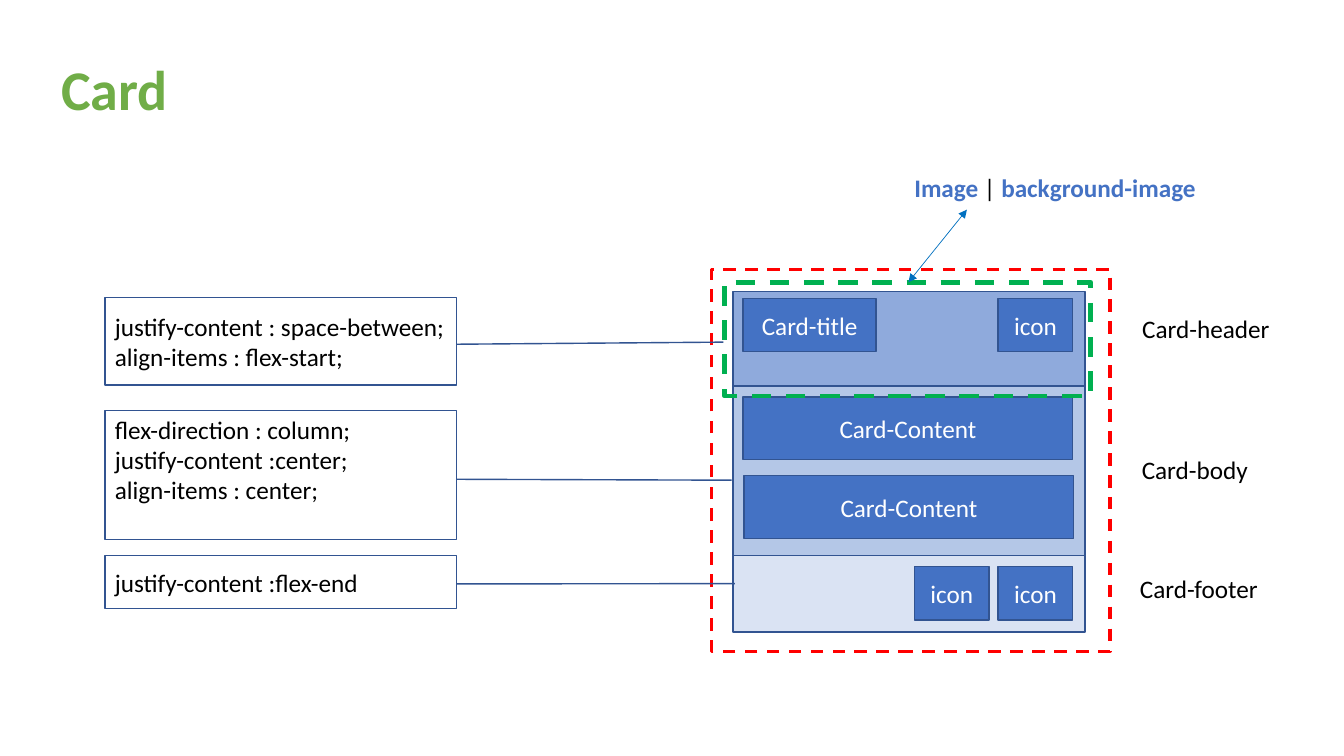
from lxml import etree
from pptx import Presentation
from pptx.dml.color import RGBColor
from pptx.enum.dml import MSO_LINE
from pptx.enum.shapes import MSO_CONNECTOR, MSO_SHAPE
from pptx.enum.text import MSO_ANCHOR, PP_ALIGN
from pptx.oxml.ns import qn
from pptx.util import Inches, Pt

COLORS = {
    "block": "4472C4", "outline": "325491", "header": "8FAADC", "body": "B4C7E7",
    "footer": "DAE3F3", "red": "FF0000", "green": "00B050", "arrow": "0070C0",
    "title": "70AD47", "black": "000000", "white": "FFFFFF",
}
COLORS = {name: RGBColor.from_string(value) for name, value in COLORS.items()}

prs = Presentation()
prs.slide_width, prs.slide_height = Inches(13.33), Inches(7.5)
s = prs.slides.add_slide(prs.slide_layouts[6])


def add_box(x, y, w, h, fill=None, line="outline", width=1, kind=MSO_SHAPE.RECTANGLE):
    sp = s.shapes.add_shape(kind, Inches(x), Inches(y), Inches(w), Inches(h))
    sp.shadow.inherit = False
    if fill:
        sp.fill.solid()
        sp.fill.fore_color.rgb = COLORS[fill]
    else:
        sp.fill.background()
    sp.line.color.rgb = COLORS[line]
    sp.line.width = Pt(width)
    return sp


def write(sp, lines, color, align, size=18, bold=False):
    """Put one paragraph per line into a shape or text box."""
    tf = sp.text_frame
    tf.word_wrap = True
    tf.text = "\n".join(lines)
    for p in tf.paragraphs:
        p.alignment = align
        p.font.name, p.font.size, p.font.bold = "Calibri", Pt(size), bold
        p.font.color.rgb = COLORS[color]
    return tf


# Card sections
card_x, card_w = 7.27, 3.49
for y, h, fill in [(2.89, 0.94, "header"), (3.83, 1.68, "body"), (5.51, 0.76, "footer")]:
    add_box(card_x, y, card_w, h, fill)
card_frame = add_box(7.06, 2.67, 3.95, 3.79, line="red", width=2.25)

# Blocks inside the card
blocks = [
    ("Card-title", 7.37, 2.96, 1.32, 0.53),
    ("icon", 9.9, 2.96, 0.74, 0.53),
    ("Card-Content", 7.37, 3.94, 3.27, 0.62),
    ("Card-Content", 7.38, 4.72, 3.27, 0.62),
    ("icon", 9.9, 5.62, 0.74, 0.53),
    ("icon", 9.07, 5.62, 0.74, 0.53),
]
for text, *place in blocks:
    tf = write(add_box(*place, fill="block"), [text], "white", PP_ALIGN.CENTER)
    tf.vertical_anchor = MSO_ANCHOR.MIDDLE

header_frame = add_box(7.19, 2.8, 3.63, 1.13, line="green", width=3.5)
for frame in (card_frame, header_frame):
    frame.line.dash_style = MSO_LINE.DASH

# Arrow from the header to the image label
arrow = s.shapes.add_connector(
    MSO_CONNECTOR.STRAIGHT, Inches(9.01), Inches(2.8), Inches(9.59), Inches(2.08))
arrow.line.color.rgb = COLORS["arrow"]
arrow.line.width = Pt(0.5)
for end in ("a:headEnd", "a:tailEnd"):
    etree.SubElement(arrow.line._get_or_add_ln(), qn(end), type="triangle")
etree.SubElement(arrow._element.spPr, qn("a:effectLst"))

# Title and section labels
labels = [
    ("Card", 0.51, 0.49, 1.74, 0.77, "title", PP_ALIGN.LEFT, 40, True),
    ("Card-header", 11.11, 3.06, 1.7, 0.4, "black", PP_ALIGN.CENTER, 18, False),
    ("Card-body", 11.04, 4.46, 1.62, 0.4, "black", PP_ALIGN.CENTER, 18, False),
    ("Card-footer", 11.13, 5.64, 1.52, 0.4, "black", PP_ALIGN.CENTER, 18, False),
]
for text, x, y, w, h, *style in labels:
    write(s.shapes.add_textbox(Inches(x), Inches(y), Inches(w), Inches(h)), [text], *style)

image_label = s.shapes.add_textbox(Inches(8.97), Inches(1.66), Inches(3.33), Inches(0.4))
image_label.text_frame.word_wrap = True
p = image_label.text_frame.paragraphs[0]
p.font.name, p.font.size = "Calibri", Pt(18)
for text, color, bold in [("Image", "block", True), (" | ", "black", False),
                          ("background-image", "block", True)]:
    r = p.add_run()
    r.text = text
    r.font.name, r.font.size, r.font.bold = "Calibri", Pt(18), bold
    r.font.color.rgb = COLORS[color]

# Callouts: top, height, bottom margin, pointer end (y, x) and rules
callouts = [
    (2.95, 0.87, 0.05, 0.511, 1.758,
     ["justify-content : space-between;", "align-items : flex-start;"]),
    (4.07, 1.28, 0.35, 0.542, 1.781,
     ["flex-direction : column;", "justify-content :center;", "align-items : center;"]),
    (5.51, 0.53, 0.05, 0.529, 1.79, ["justify-content :flex-end"]),
]
for y, h, bottom, end_y, end_x, rules in callouts:
    sp = add_box(1.04, y, 3.49, h, kind=MSO_SHAPE.LINE_CALLOUT_1)
    for i, value in enumerate((0.535, 0.999, end_y, end_x)):
        sp.adjustments[i] = value
    tf = write(sp, rules, "black", PP_ALIGN.LEFT)
    tf.vertical_anchor = MSO_ANCHOR.MIDDLE
    tf.margin_bottom = Inches(bottom)

prs.save("out.pptx")
